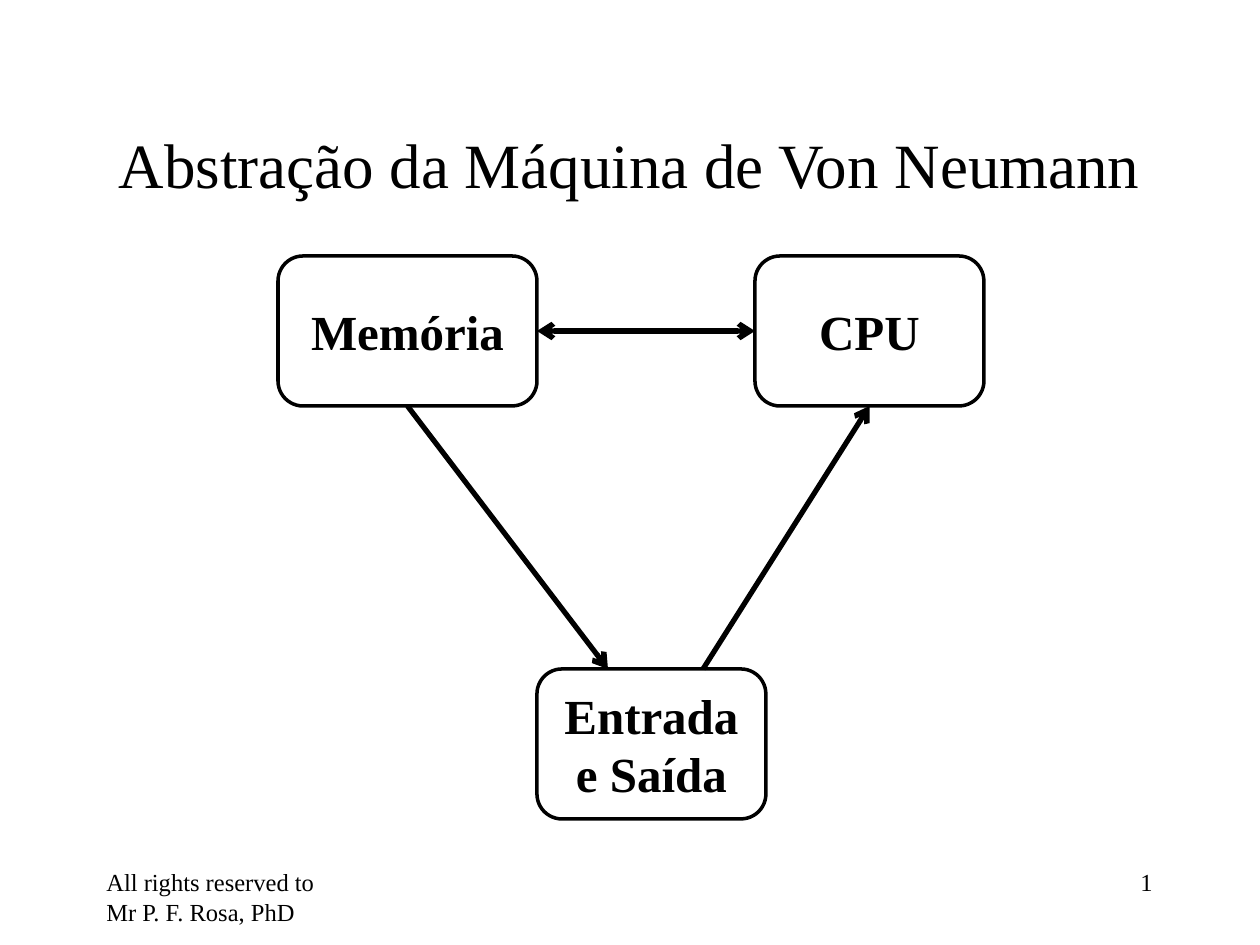
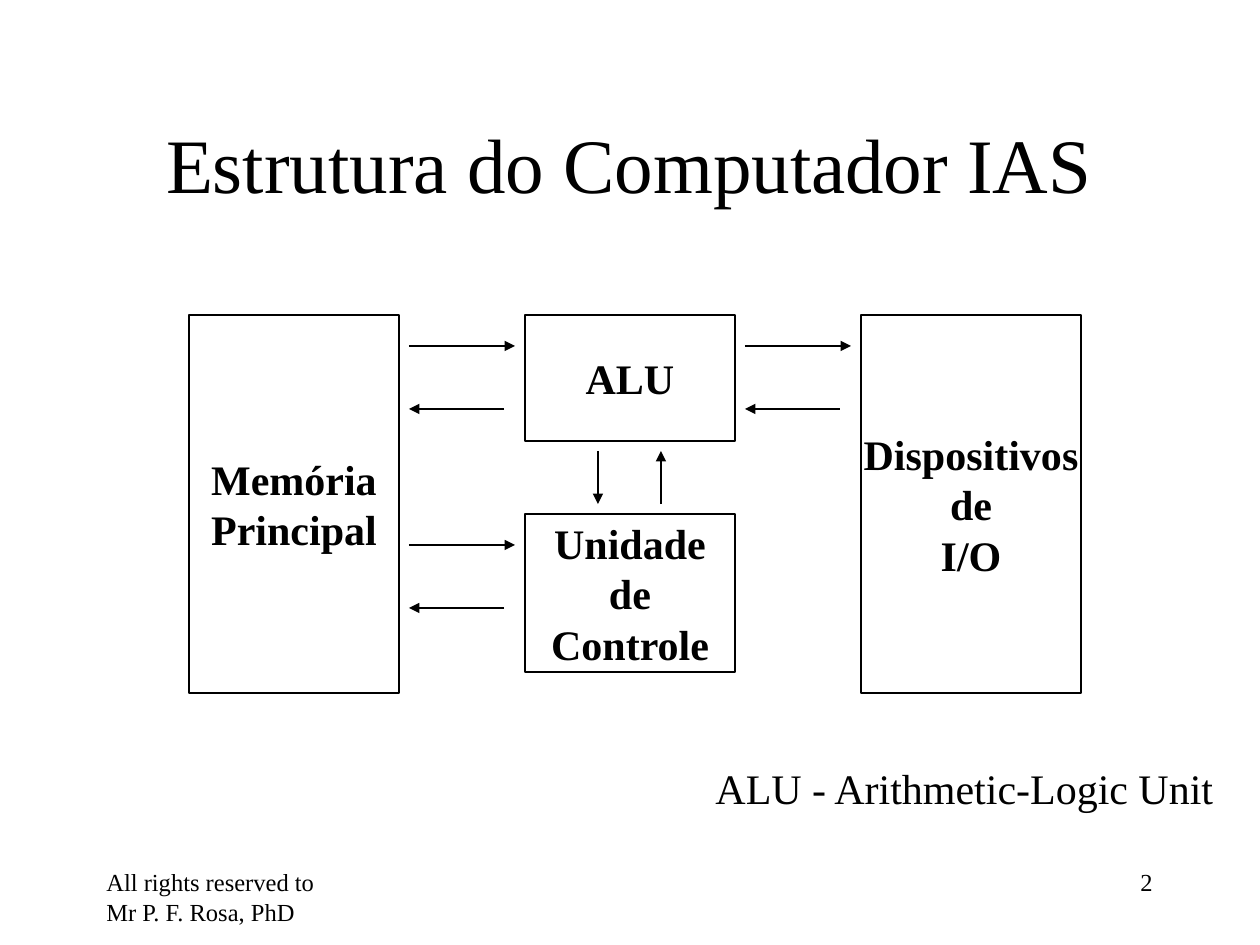
from dataclasses import dataclass

from lxml import etree
from pptx import Presentation
from pptx.dml.color import RGBColor
from pptx.enum.shapes import MSO_CONNECTOR, MSO_SHAPE
from pptx.enum.text import MSO_ANCHOR, PP_ALIGN
from pptx.oxml.ns import qn
from pptx.util import Pt

LEFT, CENTER, RIGHT = PP_ALIGN.LEFT, PP_ALIGN.CENTER, PP_ALIGN.RIGHT
TOP, MIDDLE = MSO_ANCHOR.TOP, MSO_ANCHOR.MIDDLE
ROUNDED, RECTANGLE = MSO_SHAPE.ROUNDED_RECTANGLE, MSO_SHAPE.RECTANGLE
STRAIGHT = MSO_CONNECTOR.STRAIGHT


@dataclass(frozen=True)
class Theme:
    ink: RGBColor = RGBColor(0, 0, 0)
    paper: RGBColor = RGBColor(255, 255, 255)
    font: str = "Times New Roman"
    long_title: int = 36
    title: int = 44
    block: int = 28
    unit: int = 24
    footer: int = 14
    block_line: float = 2
    flow_line: float = 3
    unit_line: float = 0.75


THEME = Theme()
EMU_PER_PIXEL = 914400 / 126
SLIDE_SIZE = (1260, 945)
TITLE_AREA = (94, 84, 1071, 158)
FOOTER_AREA = (94, 861, 262, 63)
NUMBER_AREA = (903, 861, 262, 63)
FOOTER = "All rights reserved to Mr P. F. Rosa, PhD"

NEUMANN_TITLE = "Abstração da Máquina de Von Neumann"
NEUMANN_BLOCKS = {
    "memory": ("Memória", (278, 256, 259, 150)),
    "io": ("Entrada e Saída", (537, 669, 229, 150)),
    "cpu": ("CPU", (755, 256, 229, 150)),
}
NEUMANN_FLOWS = [
    ("memory", (1, 0.5), "cpu", (0, 0.5), True),
    ("memory", (0.5, 1), "io", (0.31, 0), False),
    ("io", (0.725, 0), "cpu", (0.5, 1), False),
]

IAS_TITLE = "Estrutura do Computador IAS"
IAS_UNITS = {
    "memory": ("Memória\nPrincipal", (189, 315, 210, 378)),
    "alu": ("ALU", (525, 315, 210, 126)),
    "control": ("Unidade\nde\nControle", (525, 514, 210, 158)),
    "devices": ("Dispositivos\nde\nI/O", (861, 315, 220, 378)),
}
IAS_EXCHANGES = [("memory", "alu", "alu"), ("alu", "devices", "alu"),
                 ("memory", "control", "control")]
ARROW_GAP = 10
RETURN_GAP = 21
SEND_OFFSET = 31
RETURN_OFFSET = 94
VERTICAL_OFFSETS = (73, 136)
IAS_NOTE = "ALU - Arithmetic-Logic Unit"
NOTE_AREA = (703, 756, 525, 63)


def emu(*pixels):
    return [round(value * EMU_PER_PIXEL) for value in pixels]


def write(shape, text, size, align=LEFT, anchor=TOP, bold=False, wrap=True):
    frame = shape.text_frame
    frame.word_wrap = wrap
    frame.vertical_anchor = anchor
    frame.text = text
    for paragraph in frame.paragraphs:
        paragraph.alignment = align
        font = paragraph.font
        font.name, font.size, font.bold = THEME.font, Pt(size), bold
        font.color.rgb = THEME.ink


def add_text(slide, area, text, size, **style):
    write(slide.shapes.add_textbox(*emu(*area)), text, size, **style)


def add_box(shapes, kind, area, text, size, line_width, wrap):
    box = shapes.add_shape(kind, *emu(*area))
    box.shadow.inherit = False
    box.fill.background()
    box.line.color.rgb = THEME.ink
    box.line.width = Pt(line_width)
    write(box, text, size, CENTER, MIDDLE, True, wrap)


def add_arrow(shapes, start, end, line_width, tip, both_ways=False):
    arrow = shapes.add_connector(STRAIGHT, *emu(*start, *end))
    arrow.line.color.rgb = THEME.ink
    arrow.line.width = Pt(line_width)
    outline = arrow.line._get_or_add_ln()
    for side in ("a:headEnd", "a:tailEnd") if both_ways else ("a:tailEnd",):
        etree.SubElement(outline, qn(side), type=tip)
    etree.SubElement(outline.getparent(), qn("a:effectLst"))


def add_slide(deck, number, title, title_size):
    slide = deck.slides.add_slide(deck.slide_layouts[6])
    slide.background.fill.solid()
    slide.background.fill.fore_color.rgb = THEME.paper
    add_text(slide, TITLE_AREA, title, title_size, align=CENTER, anchor=MIDDLE)
    add_text(slide, FOOTER_AREA, FOOTER, THEME.footer)
    add_text(slide, NUMBER_AREA, str(number), THEME.footer, align=RIGHT)
    return slide


def point_on(area, fractions):
    left, top, width, height = area
    return left + width * fractions[0], top + height * fractions[1]


def build_neumann(deck):
    shapes = add_slide(deck, 1, NEUMANN_TITLE, THEME.long_title).shapes
    for label, area in NEUMANN_BLOCKS.values():
        add_box(shapes, ROUNDED, area, label, THEME.block, THEME.block_line, True)
    for source, leave, target, arrive, both_ways in NEUMANN_FLOWS:
        start = point_on(NEUMANN_BLOCKS[source][1], leave)
        end = point_on(NEUMANN_BLOCKS[target][1], arrive)
        add_arrow(shapes, start, end, THEME.flow_line, "arrow", both_ways)


def ias_arrows():
    areas = {unit: area for unit, (label, area) in IAS_UNITS.items()}
    for source, target, level in IAS_EXCHANGES:
        near = point_on(areas[source], (1, 0))[0] + ARROW_GAP
        far = areas[target][0]
        send = areas[level][1] + SEND_OFFSET
        back = areas[level][1] + RETURN_OFFSET
        yield (near, send), (far - ARROW_GAP, send)
        yield (far - RETURN_GAP, back), (near, back)
    left, alu_bottom = point_on(areas["alu"], (0, 1))
    upper = alu_bottom + ARROW_GAP
    lower = areas["control"][1] - ARROW_GAP
    down, up = (left + offset for offset in VERTICAL_OFFSETS)
    yield (down, upper), (down, lower)
    yield (up, lower), (up, upper)


def build_ias(deck):
    slide = add_slide(deck, 2, IAS_TITLE, THEME.title)
    diagram = slide.shapes.add_group_shape().shapes
    for label, area in IAS_UNITS.values():
        add_box(diagram, RECTANGLE, area, label, THEME.unit, THEME.unit_line, False)
    for start, end in ias_arrows():
        add_arrow(diagram, start, end, THEME.unit_line, "triangle")
    add_text(slide, NOTE_AREA, IAS_NOTE, THEME.unit, wrap=False)


deck = Presentation()
deck.slide_width, deck.slide_height = emu(*SLIDE_SIZE)
build_neumann(deck)
build_ias(deck)
deck.save("out.pptx")
